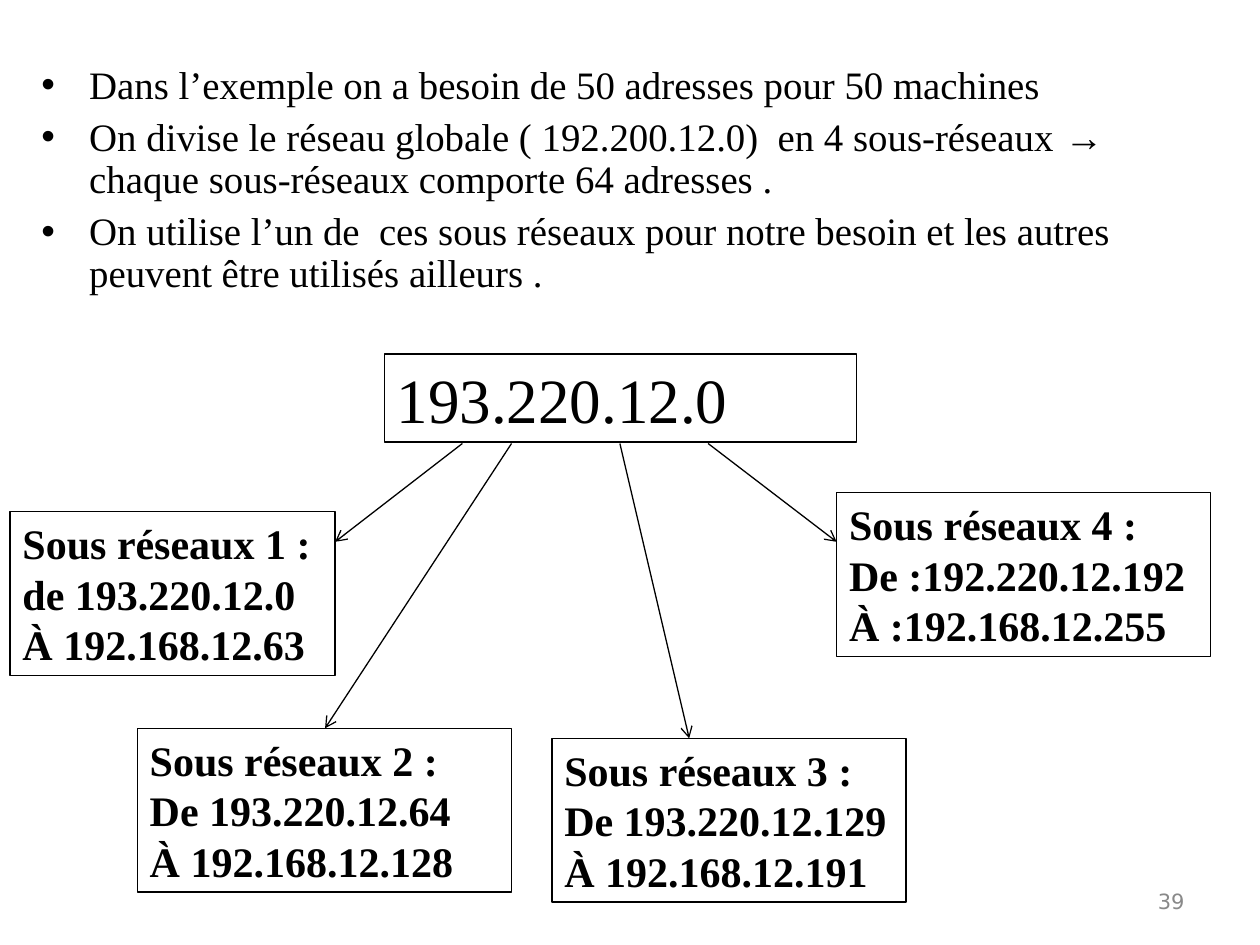
from dataclasses import dataclass

from lxml import etree
from pptx import Presentation
from pptx.dml.color import RGBColor
from pptx.enum.shapes import MSO_CONNECTOR, MSO_SHAPE
from pptx.enum.text import MSO_ANCHOR, PP_ALIGN
from pptx.oxml.ns import qn
from pptx.util import Inches, Pt

RECTANGLE = MSO_SHAPE.RECTANGLE
STRAIGHT = MSO_CONNECTOR.STRAIGHT
LEFT, RIGHT = PP_ALIGN.LEFT, PP_ALIGN.RIGHT
TOP, MIDDLE = MSO_ANCHOR.TOP, MSO_ANCHOR.MIDDLE

SLIDE_WIDTH, SLIDE_HEIGHT = Inches(10), Inches(7.5)
COLUMNS, ROWS = 100, 75


@dataclass(frozen=True)
class Theme:
    ink: RGBColor = RGBColor(0, 0, 0)
    muted: RGBColor = RGBColor(0x89, 0x89, 0x89)
    font: str = "Times New Roman"
    symbol_font: str = "Arial"
    number_font: str = "DejaVu Sans"
    body_size: float = 22.2
    network_size: float = 36
    subnet_size: float = 24
    number_size: float = 12
    line_width: float = 0.75


THEME = Theme()

ARROW = "→"
BULLETS = [
    "Dans l’exemple on a besoin de 50 adresses pour 50 machines",
    "On divise le réseau globale ( 192.200.12.0)  en 4 sous-réseaux → "
    "chaque sous-réseaux comporte 64 adresses .",
    "On utilise l’un de  ces sous réseaux pour notre besoin et les autres "
    "peuvent être utilisés ailleurs .",
]

NETWORK_AREA = (30.5, 28.1, 37.5, 7)
NETWORK_BOTTOM = 35.2
SUBNET_HEIGHT = 13
# Box (column, row, width), arrow start column, arrow end, address range
SUBNETS = [
    ((0.8, 40.6, 25.8), 36.7, (26.6, 43), "de 193.220.12.0", "À 192.168.12.63"),
    ((10.9, 57.8, 29.7), 40.6, (25.8, 57.8), "De 193.220.12.64", "À 192.168.12.128"),
    ((43.8, 58.6, 28.1), 49.2, (54.7, 58.6), "De 193.220.12.129", "À 192.168.12.191"),
    ((66.4, 39.1, 29.7), 56.2, (66.4, 43), "De :192.220.12.192", "À :192.168.12.255"),
]


def across(columns):
    return round(SLIDE_WIDTH * columns / COLUMNS)


def down(rows):
    return round(SLIDE_HEIGHT * rows / ROWS)


def place(area):
    column, row, width, height = area
    return across(column), down(row), across(width), down(height)


def add_bullet(para):
    indent = across(3.8)
    properties = para._p.get_or_add_pPr()
    properties.set("marL", str(indent))
    properties.set("indent", str(-indent))
    etree.SubElement(properties, qn("a:buFont"), typeface=THEME.symbol_font)
    etree.SubElement(properties, qn("a:buChar"), char="•")


def write(frame, lines, *, size, font=THEME.font, color=THEME.ink, bold=False,
          align=LEFT, anchor=TOP, bullets=False, spacing=None, gap=0):
    """Fill a frame, one paragraph a line, with arrow signs in the symbol font."""
    frame.word_wrap = True
    frame.vertical_anchor = anchor
    for index, line in enumerate(lines):
        para = frame.add_paragraph() if index else frame.paragraphs[0]
        if bullets:
            add_bullet(para)
        para.alignment = align
        para.line_spacing = spacing
        if index and gap:
            para.space_before = Pt(gap)
        before, sign, after = line.partition(ARROW)
        for text, face in ((before, font), (sign, THEME.symbol_font), (after, font)):
            if text:
                span = para.add_run()
                span.text = text
                span.font.name = face
                span.font.size = Pt(size)
                span.font.bold = bold
                span.font.color.rgb = color


def add_text(slide, area, lines, **text_format):
    write(slide.shapes.add_textbox(*place(area)).text_frame, lines, **text_format)


def set_line(line):
    line.color.rgb = THEME.ink
    line.width = Pt(THEME.line_width)


def add_frame_box(slide, area, lines, **text_format):
    box = slide.shapes.add_shape(RECTANGLE, *place(area))
    box.shadow.inherit = False
    box.fill.background()
    set_line(box.line)
    write(box.text_frame, lines, **text_format)


def add_arrow(slide, start, end):
    arrow = slide.shapes.add_connector(
        STRAIGHT, across(start[0]), down(start[1]), across(end[0]), down(end[1]))
    set_line(arrow.line)
    etree.SubElement(arrow.line._get_or_add_ln(), qn("a:tailEnd"), type="arrow")
    etree.SubElement(arrow._element.spPr, qn("a:effectLst"))


def main():
    deck = Presentation()
    deck.slide_width, deck.slide_height = SLIDE_WIDTH, SLIDE_HEIGHT
    slide = deck.slides.add_slide(deck.slide_layouts[6])

    add_text(slide, (2.3, 4.7, 93.8, 21.9), BULLETS, size=THEME.body_size,
             bullets=True, spacing=0.9, gap=6)
    add_frame_box(slide, NETWORK_AREA, ["193.220.12.0"], size=THEME.network_size)
    for number, (corner, _, _, first, last) in enumerate(SUBNETS, start=1):
        add_frame_box(slide, (*corner, SUBNET_HEIGHT),
                      [f"Sous réseaux {number} :", first, last],
                      size=THEME.subnet_size, bold=True)
    for _, start_column, end, _, _ in SUBNETS:
        add_arrow(slide, (start_column, NETWORK_BOTTOM), end)
    add_text(slide, (71.7, 69.5, 23.3, 4), ["39"], size=THEME.number_size,
             font=THEME.number_font, color=THEME.muted, align=RIGHT, anchor=MIDDLE)

    deck.save("out.pptx")


if __name__ == "__main__":
    main()
